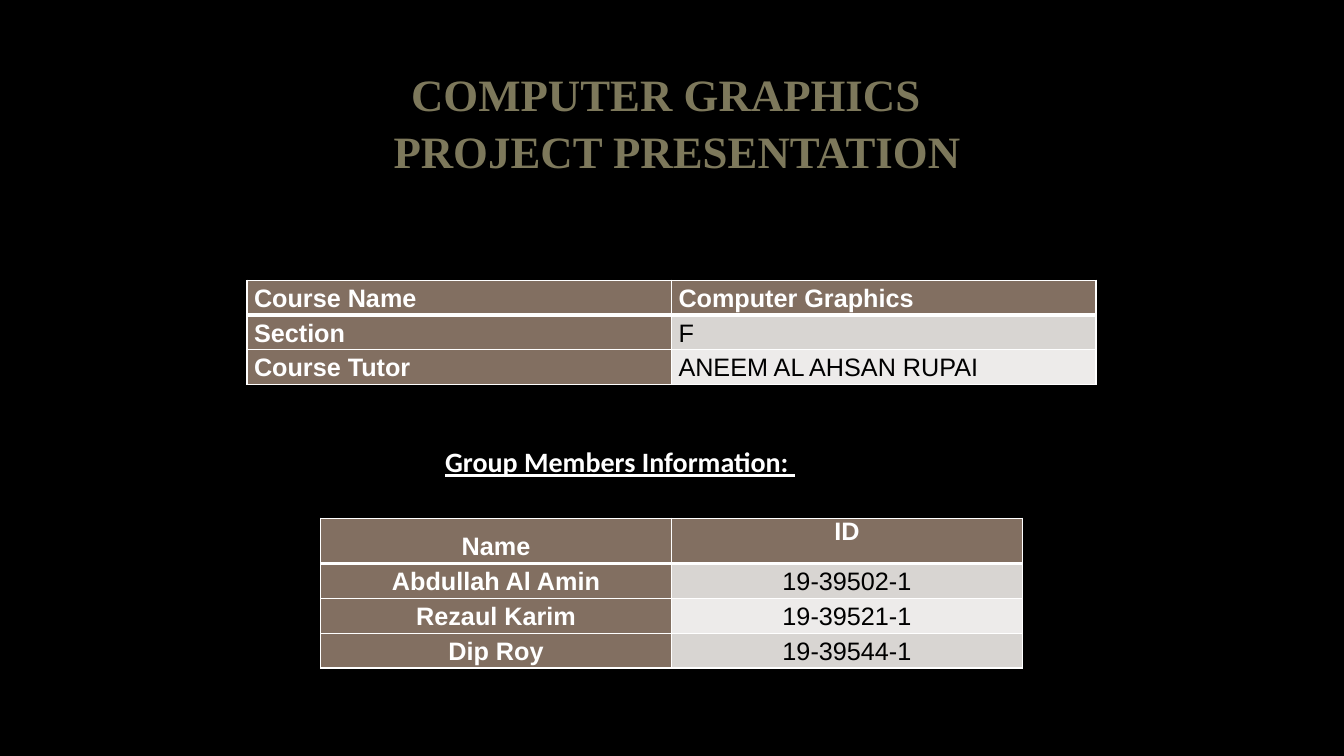
"""Build the computer graphics project title slide."""
from lxml import etree
from pptx import Presentation
from pptx.dml.color import RGBColor
from pptx.enum.text import MSO_ANCHOR, PP_ALIGN
from pptx.oxml.ns import qn
from pptx.util import Inches, Pt

LEFT, CENTER = PP_ALIGN.LEFT, PP_ALIGN.CENTER
MIDDLE = MSO_ANCHOR.MIDDLE

THEME = {
    "back": "000000", "title": "7D785B", "light": "FFFFFF", "dark": "000000",
    "head": "826F61", "bands": ("D8D5D2", "EDEBEA"),
    "title_font": "Times New Roman", "label_font": "Calibri", "table_font": "Arial",
    "title_size": 32, "label_size": 20, "table_size": 18,
    "line": 1, "head_line": 3,
}

TITLE = "COMPUTER GRAPHICS \v PROJECT PRESENTATION"
TITLE_BOX = (1, 0.67, 11.32, 1.06)
MEMBERS_LABEL = "Group Members Information: "
LABEL_BOX = (3.65, 4.36, 5, 0.44)
ROW_HEIGHT = 0.32
COURSE = {
    "at": (2.45, 2.78), "col_width": 4.21, "head_height": 0.33,
    "align": LEFT, "head_spacing": (1.15, 1.15),
    "rows": [
        ("Course Name", "Computer Graphics"),
        ("Section", "F"),
        ("Course Tutor", "ANEEM AL AHSAN RUPAI"),
    ],
}
MEMBERS = {
    "at": (3.18, 5.14), "col_width": 3.48, "head_height": 0.43,
    "align": CENTER, "head_spacing": (1.5, 1),
    "rows": [
        ("Name", "ID"),
        ("Abdullah Al Amin", "19-39502-1"),
        ("Rezaul Karim", "19-39521-1"),
        ("Dip Roy", "19-39544-1"),
    ],
}


def write(tf, text, *, font, size, color, bold=True, underline=False,
          align=CENTER, spacing=1):
    tf.word_wrap = True
    p = tf.paragraphs[0]
    p.text = text
    p.alignment = align
    p.line_spacing = spacing
    for r in p.runs:
        r.font.name = font
        r.font.size = Pt(size)
        r.font.bold = bold
        r.font.underline = underline
        r.font.color.rgb = RGBColor.from_string(color)


def add_text(s, box, text, **fmt):
    tf = s.shapes.add_textbox(*map(Inches, box)).text_frame
    tf.vertical_anchor = MIDDLE
    write(tf, text, **fmt)


def set_borders(cell, widths):
    tc_pr = cell._tc.get_or_add_tcPr()
    for i, (side, width) in enumerate(widths.items()):
        ln = etree.Element(qn(f"a:ln{side}"), w=str(Pt(width)))
        fill = etree.SubElement(ln, qn("a:solidFill"))
        etree.SubElement(fill, qn("a:srgbClr"), val=THEME["light"])
        tc_pr.insert(i, ln)


def add_grid(s, grid):
    rows = grid["rows"]
    n_cols = len(rows[0])
    heights = [grid["head_height"]] + [ROW_HEIGHT] * (len(rows) - 1)
    size = (grid["col_width"] * n_cols, sum(heights))
    table = s.shapes.add_table(len(rows), n_cols, *map(Inches, grid["at"] + size)).table
    for col in table.columns:
        col.width = Inches(grid["col_width"])
    thin, thick = THEME["line"], THEME["head_line"]
    for i, values in enumerate(rows):
        table.rows[i].height = Inches(heights[i])
        for j, value in enumerate(values):
            cell = table.cell(i, j)
            is_head = i == 0 or j == 0
            cell.margin_left = cell.margin_right = Inches(0.07)
            cell.margin_top = cell.margin_bottom = 0
            set_borders(cell, {"L": thin, "R": thin,
                               "T": thick if i == 1 else thin,
                               "B": thick if i == 0 else thin})
            fill = THEME["head"] if is_head else THEME["bands"][(i - 1) % 2]
            cell.fill.solid()
            cell.fill.fore_color.rgb = RGBColor.from_string(fill)
            write(cell.text_frame, value, font=THEME["table_font"],
                  size=THEME["table_size"], bold=is_head, align=grid["align"],
                  color=THEME["light"] if is_head else THEME["dark"],
                  spacing=grid["head_spacing"][j] if i == 0 else 1.15)


def main():
    prs = Presentation()
    prs.slide_width, prs.slide_height = Inches(13.33), Inches(7.5)
    s = prs.slides.add_slide(prs.slide_layouts[6])
    s.background.fill.solid()
    s.background.fill.fore_color.rgb = RGBColor.from_string(THEME["back"])
    add_text(s, TITLE_BOX, TITLE, font=THEME["title_font"],
             size=THEME["title_size"], color=THEME["title"], spacing=1.05)
    add_grid(s, COURSE)
    add_grid(s, MEMBERS)
    add_text(s, LABEL_BOX, MEMBERS_LABEL, font=THEME["label_font"],
             size=THEME["label_size"], color=THEME["light"], underline=True)
    prs.save("out.pptx")


if __name__ == "__main__":
    main()
